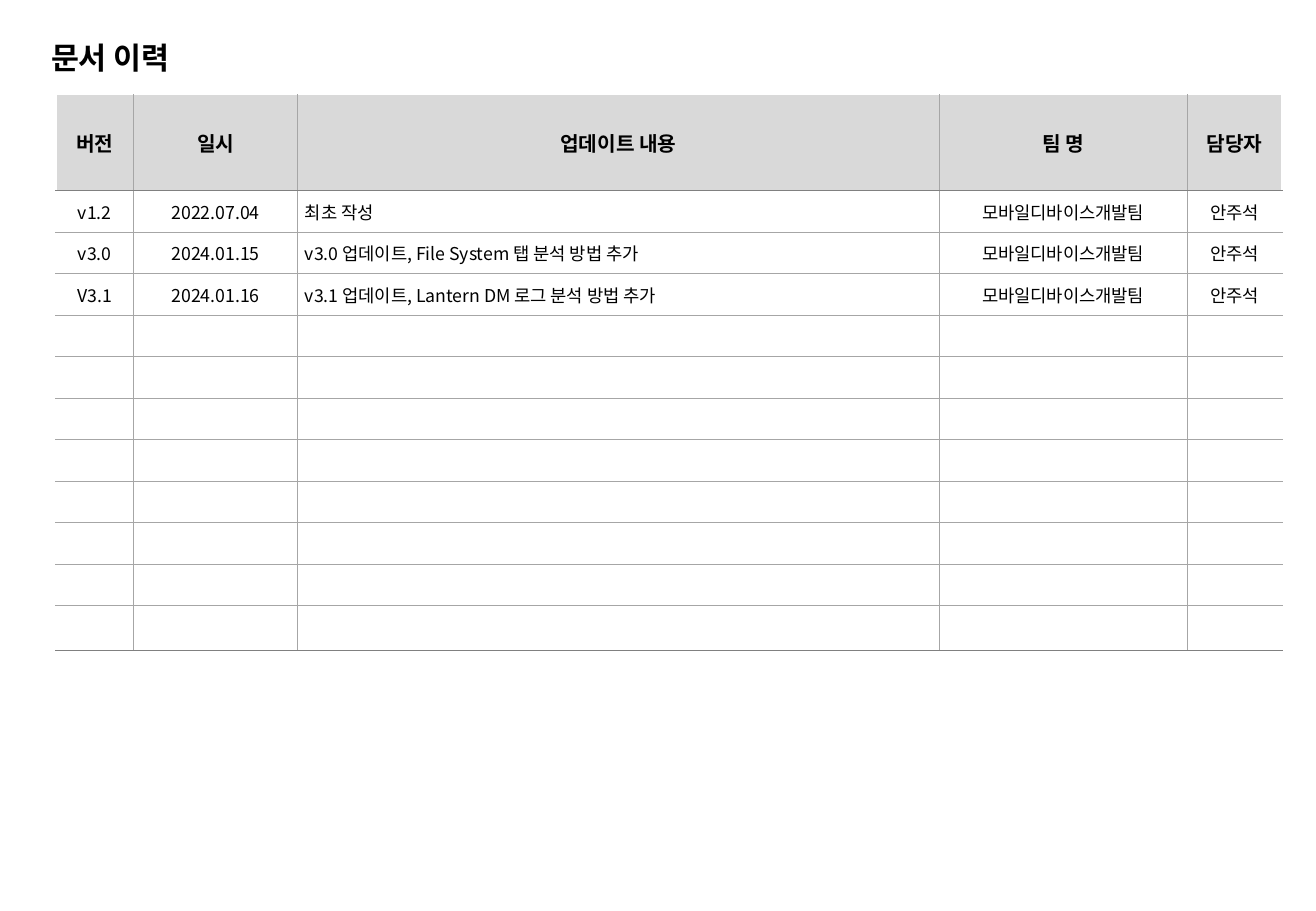
"""Build the document history slide."""
from lxml.etree import SubElement
from pptx import Presentation
from pptx.dml.color import RGBColor
from pptx.enum.text import MSO_ANCHOR, PP_ALIGN
from pptx.oxml.ns import qn
from pptx.util import Inches, Pt

TITLE = "문서 이력"
HEADER = ("버전", "일시", "업데이트 내용", "팀 명", "담당자")
TEAM, OWNER = "모바일디바이스개발팀", "안주석"
HISTORY = [
    ("v1.2", "2022.07.04", "최초 작성", TEAM, OWNER),
    ("v3.0", "2024.01.15", "v3.0 업데이트, File System 탭 분석 방법 추가", TEAM, OWNER),
    ("V3.1", "2024.01.16", "v3.1 업데이트, Lantern DM 로그 분석 방법 추가", TEAM, OWNER),
]
COLORS = {"text": "000000", "header": "D9D9D9", "body": "FFFFFF",
          "edge": "FFFFFF", "grid": "A6A6A6", "rule": "808080"}
FONT = "Noto Sans CJK KR"
WIDTH, HEIGHT = 10.83, 7.5
LEFT, TOP, TABLE_H = 0.46, 0.78, 4.58
COLS = (0.64, 1.35, 5.28, 2.04, 0.78)
ROWS, HEADER_H, LAST_H = 12, 0.79, 0.37
BODY_H = (TABLE_H - HEADER_H - LAST_H) / (ROWS - 2)
HEIGHTS = [HEADER_H] + [BODY_H] * (ROWS - 2) + [LAST_H]
CONTENT_COL = 2


def style(p, size, bold, align):
    p.alignment = align
    f = p.font
    f.size, f.bold, f.name = Pt(size), bold, FONT
    f.color.rgb = RGBColor.from_string(COLORS["text"])
    SubElement(f._rPr, qn("a:ea"), typeface=FONT)


def add_border(cell, side, kind):
    width = Pt(0.5) if kind == "grid" else Pt(1)
    ln = SubElement(cell._tc.get_or_add_tcPr(), qn(f"a:ln{side}"), w=str(width))
    fill = SubElement(ln, qn("a:solidFill"))
    SubElement(fill, qn("a:srgbClr"), val=COLORS[kind])


def fill_cell(cell, row, col, text):
    header = row == 0
    left = not header and col == CONTENT_COL
    borders = {
        "L": "edge" if col == 0 else "grid",
        "R": "edge" if col == len(COLS) - 1 else "grid",
        "T": "edge" if header else "rule" if row == 1 else "grid",
        "B": "rule" if row in (0, ROWS - 1) else "grid",
    }
    for side, kind in borders.items():
        add_border(cell, side, kind)
    cell.fill.solid()
    cell.fill.fore_color.rgb = RGBColor.from_string(COLORS["header" if header else "body"])
    cell.vertical_anchor = MSO_ANCHOR.MIDDLE
    cell.margin_left = Inches(0.06 if left else 0.03)
    cell.margin_right = Inches(0.03)
    cell.margin_top = cell.margin_bottom = Inches(0.02 if header else 0.03)
    p = cell.text_frame.paragraphs[0]
    if text:
        p.text = text
        style(p, 12 if header else 10.5, header, PP_ALIGN.LEFT if left else PP_ALIGN.CENTER)
    else:
        SubElement(p._p, qn("a:endParaRPr"), sz="1050")


def add_title(s):
    sp = s.shapes.title
    sp.left, sp.top, sp.width, sp.height = map(Inches, (0.32, 0.22, 4.78, 0.54))
    tf = sp.text_frame
    tf.vertical_anchor = MSO_ANCHOR.MIDDLE
    p = tf.paragraphs[0]
    p.text = TITLE
    p.line_spacing = 0.9
    style(p, 18, True, PP_ALIGN.LEFT)


def add_history(s):
    table = s.shapes.add_table(ROWS, len(COLS), Inches(LEFT), Inches(TOP),
                               Inches(sum(COLS)), Inches(TABLE_H)).table
    table.horz_banding = False
    for col, width in zip(table.columns, COLS):
        col.width = Inches(width)
    for row, height in zip(table.rows, HEIGHTS):
        row.height = Inches(height)
    blank = ("",) * len(COLS)
    lines = [HEADER] + HISTORY
    lines += [blank] * (ROWS - len(lines))
    for r, line in enumerate(lines):
        for c, text in enumerate(line):
            fill_cell(table.cell(r, c), r, c, text)


def main():
    prs = Presentation()
    prs.slide_width, prs.slide_height = Inches(WIDTH), Inches(HEIGHT)
    s = prs.slides.add_slide(prs.slide_layouts[5])
    add_history(s)
    add_title(s)
    prs.save("out.pptx")


if __name__ == "__main__":
    main()
